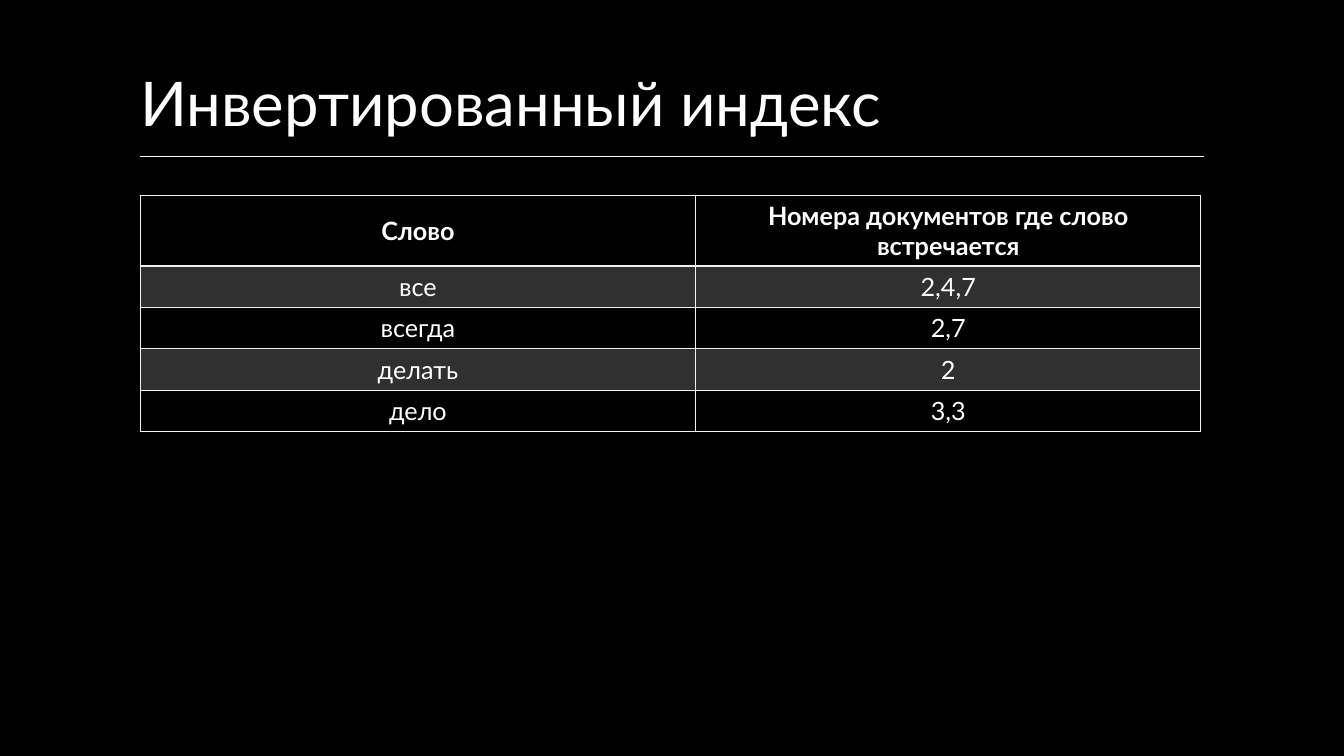
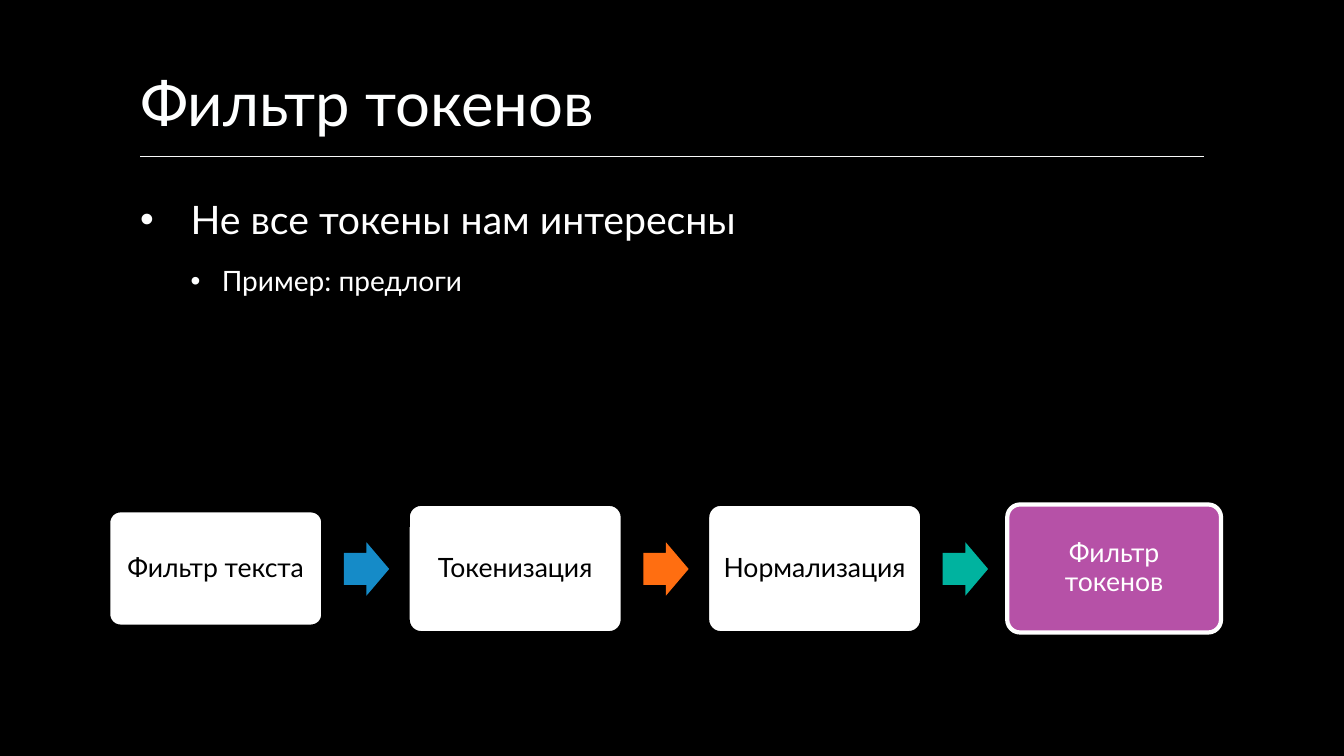
from lxml.etree import SubElement
from pptx import Presentation
from pptx.dml.color import RGBColor
from pptx.enum.shapes import MSO_CONNECTOR, MSO_SHAPE
from pptx.enum.text import MSO_ANCHOR as Anchor, MSO_AUTO_SIZE, PP_ALIGN as Align
from pptx.oxml.ns import qn
from pptx.util import Pt

PX = 9144  # 100 px to the inch
WIDE, HIGH = 1333, 750
FONT = "Lato"
HEX = {
    "back": "000000", "title": "FEFFFF", "rule": "F8F9F9", "text": "FFFFFF",
    "grid": "F2F2F2", "band": "303030", "dark": "000000", "card": "FFFFFF",
    "blue": "158BC8", "orange": "FF6E11", "teal": "00B39F", "plum": "B651A7",
}
LEFT, SPAN, TOP = 139, 1055, 194

INDEX = {
    "title": "Инвертированный индекс",
    "cols": (551, 501),
    "rows": [
        ("Слово", "Номера документов где слово встречается"),
        ("все", "2,4,7"),
        ("всегда", "2,7"),
        ("делать", "2"),
        ("дело", "3,3"),
    ],
}
FILTER = {
    "title": "Фильтр токенов",
    # text, level, size, left margin, hanging indent
    "list": [
        ("Не все токены нам интересны", 0, 28, 50, 50),
        ("Пример: предлоги", 1, 20, 81, 31),
    ],
    # text, height, fill, font colour, line colour, line width
    "steps": [
        ("Фильтр текста", 114, "card", "dark", "dark", 2),
        ("Токенизация", 127, "card", "dark", "dark", 2),
        ("Нормализация", 127, "card", "dark", "dark", 2),
        ("Фильтр токенов", 127, "plum", "text", "text", 3),
    ],
    "arrows": ["blue", "orange", "teal"],
}


def px(*vals):
    return [round(v * PX) for v in vals]


def rgb(name):
    return RGBColor.from_string(HEX[name])


def paint(shape, name):
    shape.fill.solid()
    shape.fill.fore_color.rgb = rgb(name)


def style(par, size, color, bold=False):
    for run in par.runs:
        font = run.font
        font.name, font.size, font.bold = FONT, Pt(size), bold
        font.color.rgb = rgb(color)


def place(shape, *box):
    shape.left, shape.top, shape.width, shape.height = px(*box)


def inset(frame, left, top, right, bottom):
    (frame.margin_left, frame.margin_top,
     frame.margin_right, frame.margin_bottom) = px(left, top, right, bottom)
    frame.word_wrap = True
    frame.auto_size = MSO_AUTO_SIZE.NONE


def start(prs, layout, title):
    """Add a slide with the shared title and the rule below it."""
    slide = prs.slides.add_slide(prs.slide_layouts[layout])
    head = slide.shapes.title
    place(head, LEFT, 36, SPAN, 118)
    frame = head.text_frame
    frame.text = title
    inset(frame, 0, 5, 0, 16)
    frame.vertical_anchor = Anchor.BOTTOM
    frame.paragraphs[0].alignment = Align.LEFT
    style(frame.paragraphs[0], 44, "title")
    rule = slide.shapes.add_connector(
        MSO_CONNECTOR.STRAIGHT, *px(LEFT, 155, LEFT + SPAN, 155))
    rule.line.color.rgb = rgb("rule")
    rule.line.width = Pt(0.75)
    SubElement(rule.element.spPr, qn("a:effectLst"))
    return slide


def edge(cell, sides):
    """Draw cell borders; sides maps L, R, T, B to widths in points."""
    props = cell._tc.get_or_add_tcPr()
    for side, width in sides.items():
        line = SubElement(props, qn("a:ln" + side), w=str(Pt(width)))
        fill = SubElement(line, qn("a:solidFill"))
        SubElement(fill, qn("a:srgbClr"), val=HEX["grid"])


def add_grid(slide, cols, rows):
    heights = [70] + [41] * (len(rows) - 1)
    table = slide.shapes.add_table(
        len(rows), len(cols),
        *px(LEFT, TOP, sum(cols), sum(heights))).table
    table.horz_banding = False
    for col, width in zip(table.columns, px(*cols)):
        col.width = width
    for r, (row, height) in enumerate(zip(rows, px(*heights))):
        table.rows[r].height = height
        for c, text in enumerate(row):
            cell = table.cell(r, c)
            edge(cell, {"L": 1, "R": 1, "T": 2 if r == 1 else 1,
                        "B": 2 if r == 0 else 1})
            if r % 2:
                paint(cell, "band")
            else:
                cell.fill.background()
            cell.vertical_anchor = Anchor.MIDDLE
            cell.text_frame.text = text
            par = cell.text_frame.paragraphs[0]
            par.alignment = Align.CENTER
            style(par, 18, "text", r == 0)


def add_list(slide, items):
    body = slide.placeholders[1]
    place(body, LEFT, TOP, SPAN, 252)
    frame = body.text_frame
    frame.text = "\n".join(item[0] for item in items)
    inset(frame, 0, 0, 0, 0)
    for par, (_, level, size, margin, hang) in zip(frame.paragraphs, items):
        par.level = level
        par.space_before, par.space_after = Pt(0), Pt(15)
        style(par, size, "text")
        props = par._p.get_or_add_pPr()
        props.set("marL", str(margin * PX))
        props.set("indent", str(-hang * PX))
        color = SubElement(props, qn("a:buClr"))
        SubElement(color, qn("a:srgbClr"), val=HEX["title"])
        SubElement(props, qn("a:buFont"), typeface="Arial")
        SubElement(props, qn("a:buChar"), char="•")


def add_block(slide, kind, box, fill):
    shape = slide.shapes.add_shape(kind, *px(*box))
    shape.shadow.inherit = False
    paint(shape, fill)
    shape.line.fill.background()
    return shape


def add_flow(slide, steps, arrows):
    left, mid, width, pitch = 108, 564, 212, 297
    for i, (text, height, fill, ink, line, weight) in enumerate(steps):
        box = (left + i * pitch, mid - height / 2, width, height)
        card = add_block(slide, MSO_SHAPE.ROUNDED_RECTANGLE, box, fill)
        card.adjustments[0] = 0.1
        card.line.color.rgb = rgb(line)
        card.line.width = Pt(weight)
        frame = card.text_frame
        frame.text = text
        inset(frame, 8, 8, 8, 8)
        frame.vertical_anchor = Anchor.MIDDLE
        par = frame.paragraphs[0]
        par.alignment, par.line_spacing = Align.CENTER, 0.9
        style(par, 19, ink)
    for i, fill in enumerate(arrows):
        box = (left + i * pitch + 233, mid - 26, 45, 53)
        arrow = add_block(slide, MSO_SHAPE.RIGHT_ARROW, box, fill)
        arrow.adjustments[0] = 0.6


def main():
    prs = Presentation()
    prs.slide_width, prs.slide_height = px(WIDE, HIGH)
    paint(prs.slide_master.background, "back")
    slide = start(prs, 5, INDEX["title"])
    add_grid(slide, INDEX["cols"], INDEX["rows"])
    slide = start(prs, 1, FILTER["title"])
    add_list(slide, FILTER["list"])
    add_flow(slide, FILTER["steps"], FILTER["arrows"])
    prs.save("out.pptx")


if __name__ == "__main__":
    main()
